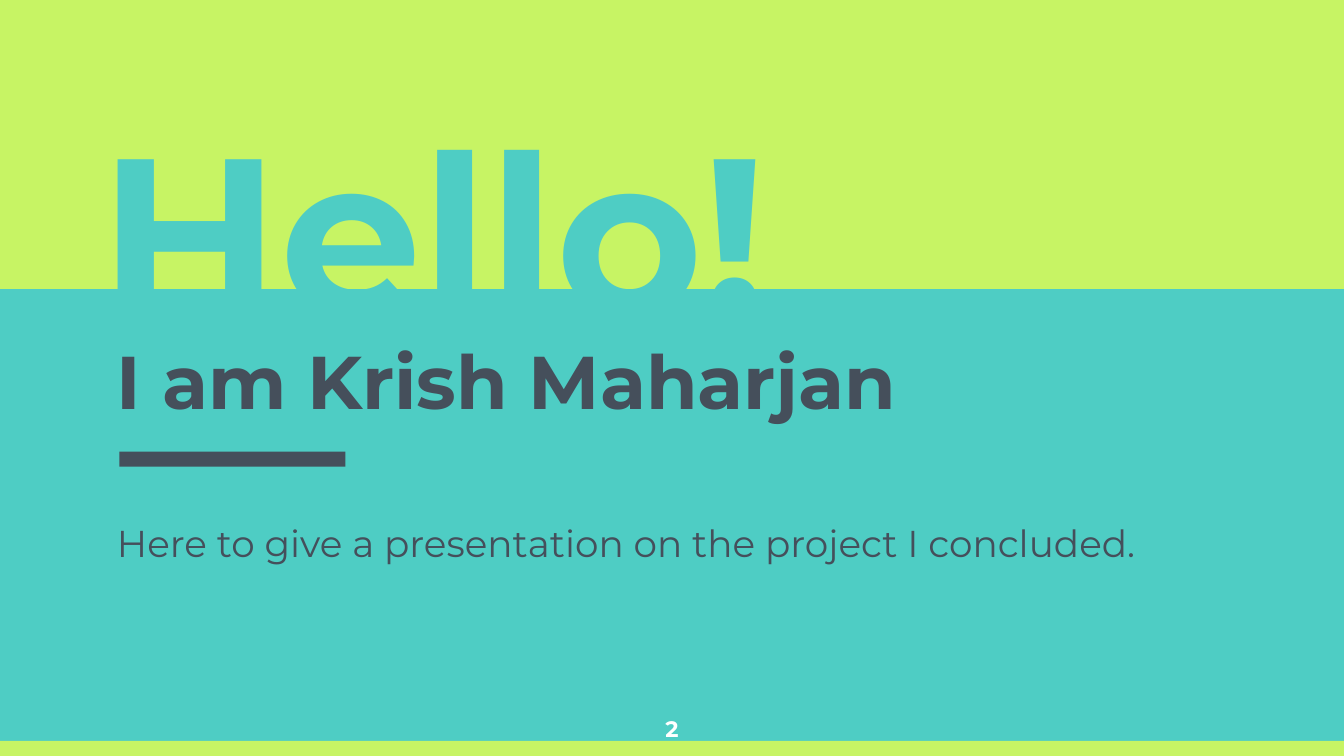
from pptx import Presentation
from pptx.dml.color import RGBColor
from pptx.enum.shapes import MSO_SHAPE
from pptx.enum.text import MSO_ANCHOR, PP_ALIGN
from pptx.util import Pt

RECTANGLE = MSO_SHAPE.RECTANGLE
TOP, BOTTOM = MSO_ANCHOR.TOP, MSO_ANCHOR.BOTTOM
LEFT, CENTER = PP_ALIGN.LEFT, PP_ALIGN.CENTER

COLORS = {"teal": "4ECDC4", "lime": "C7F464", "slate": "454F5B", "white": "FFFFFF"}
FONT = "Montserrat"
WIDTH, HEIGHT = 720, 405
INSET = Pt(7.2)


def add_bar(slide, left, top, width, height, color):
    bar = slide.shapes.add_shape(RECTANGLE, Pt(left), Pt(top), Pt(width), Pt(height))
    bar.shadow.inherit = False
    bar.fill.solid()
    bar.fill.fore_color.rgb = RGBColor.from_string(COLORS[color])
    bar.line.fill.background()


def add_text(slide, text, box, size, color, bold=False, anchor=TOP, align=LEFT):
    frame = slide.shapes.add_textbox(*map(Pt, box)).text_frame
    frame.word_wrap = True
    frame.vertical_anchor = anchor
    frame.margin_left = frame.margin_right = INSET
    frame.margin_top = frame.margin_bottom = INSET
    paragraph = frame.paragraphs[0]
    paragraph.text = text
    paragraph.alignment = align
    paragraph.font.name = FONT
    paragraph.font.size = Pt(size)
    paragraph.font.bold = bold
    paragraph.font.color.rgb = RGBColor.from_string(COLORS[color])
    return paragraph


prs = Presentation()
prs.slide_width, prs.slide_height = Pt(WIDTH), Pt(HEIGHT)
slide = prs.slides.add_slide(prs.slide_layouts[6])

# Background with lime bands at the bottom and top
slide.background.fill.solid()
slide.background.fill.fore_color.rgb = RGBColor.from_string(COLORS["teal"])
add_bar(slide, 0, 397, WIDTH, 8, "lime")
add_bar(slide, 0, 0, WIDTH, 154.8, "lime")

# Greeting that sinks into the teal area
add_text(slide, "Hello!", (46, 109.4, 396, 91.4), 120, "teal", bold=True, anchor=BOTTOM)

# Name, divider and introduction
name = add_text(slide, "I am Krish Maharjan", (55.6, 172, 442, 49.7), 40, "slate", bold=True)
name.space_before = Pt(6)
add_text(slide, "Here to give a presentation on the project I concluded.",
         (55.6, 271.4, 615, 111.6), 20, "slate")
add_bar(slide, 64, 242, 121, 8, "slate")

# Slide number
add_text(slide, "2", (338.4, 375.8, 43.2, 24.5), 12, "white", bold=True, align=CENTER)

prs.save("out.pptx")
